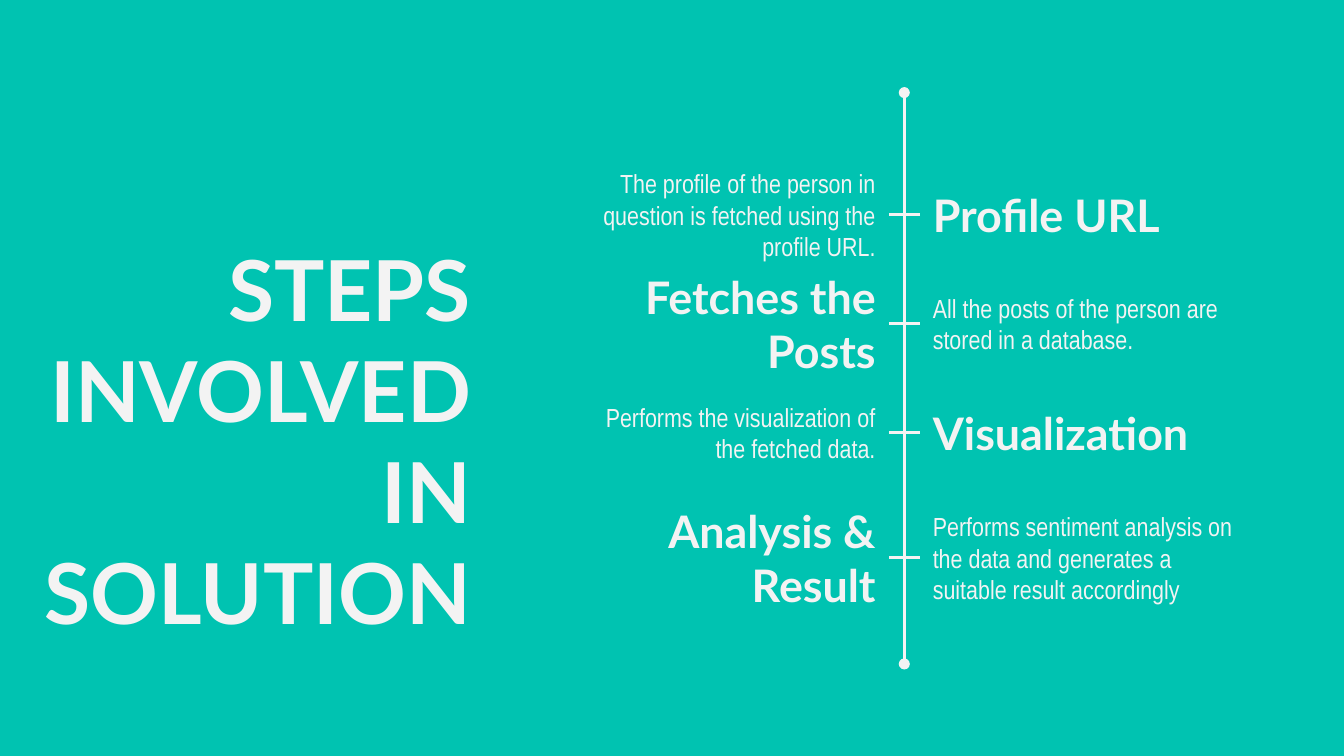
import pptx
import pptx.dml.color
import pptx.enum.shapes
import pptx.enum.text
import pptx.oxml.ns
import lxml.etree
from pptx.util import Cm

BACKGROUND = "00C3B1"
LIGHT = "F3F3F3"
AXIS_X = 17.09
TICK_HALF = 0.29
ROW_HEIGHT = 1.75
HEADING = ("Lato", 24, True)
BODY = ("Arial Narrow", 14, False)
LEFT = pptx.enum.text.PP_ALIGN.LEFT
RIGHT = pptx.enum.text.PP_ALIGN.RIGHT
TOP = pptx.enum.text.MSO_ANCHOR.TOP
MIDDLE = pptx.enum.text.MSO_ANCHOR.MIDDLE

STEPS = [
    (4.06, "The profile of the person in question is fetched using the profile URL.",
     BODY, 6.07, "Profile URL", HEADING, 6.99),
    (6.12, "Fetches the Posts", HEADING, 6.71,
     "All the posts of the person are stored in a database.", BODY, 5.92),
    (8.18, "Performs the visualization of the fetched data.", BODY, 5.74,
     "Visualization", HEADING, 5.74),
    (10.54, "Analysis & Result", HEADING, 6.71,
     "Performs sentiment analysis on the data and generates a suitable result accordingly",
     BODY, 6.4),
]


def color(value):
    return pptx.dml.color.RGBColor.from_string(value)


def add_text(s, text, style, x, y, w, h, align, anchor):
    font_name, size, bold = style
    tf = s.shapes.add_textbox(Cm(x), Cm(y), Cm(w), Cm(h)).text_frame
    tf.word_wrap = True
    tf.vertical_anchor = anchor
    tf.margin_left = tf.margin_right = tf.margin_top = tf.margin_bottom = Cm(0.25)
    tf.text = text
    p = tf.paragraphs[0]
    p.alignment = align
    font = p.runs[0].font
    font.name = font_name
    font.size = pptx.util.Pt(size)
    font.bold = bold
    font.color.rgb = color(LIGHT)


def add_line(s, x1, y1, x2, y2, oval_ends=False):
    line = s.shapes.add_connector(
        pptx.enum.shapes.MSO_CONNECTOR.STRAIGHT, Cm(x1), Cm(y1), Cm(x2), Cm(y2))
    line.line.color.rgb = color(LIGHT)
    line.line.width = pptx.util.Pt(1.5)
    qn = pptx.oxml.ns.qn
    sp_pr = line._element.spPr
    if oval_ends:
        for tag in ("a:headEnd", "a:tailEnd"):
            lxml.etree.SubElement(sp_pr.find(qn("a:ln")), qn(tag), type="oval")
    lxml.etree.SubElement(sp_pr, qn("a:effectLst"))


def add_step(s, y, left_text, left_style, left_width, right_text, right_style, right_width):
    top = y - ROW_HEIGHT / 2
    left_edge, right_edge = AXIS_X - TICK_HALF, AXIS_X + TICK_HALF
    add_text(s, left_text, left_style, left_edge - left_width, top,
             left_width, ROW_HEIGHT, RIGHT, MIDDLE)
    add_text(s, right_text, right_style, right_edge, top,
             right_width, ROW_HEIGHT, LEFT, MIDDLE)
    add_line(s, left_edge, y, right_edge, y)


def main():
    prs = pptx.Presentation()
    prs.slide_width, prs.slide_height = Cm(25.4), Cm(14.29)
    s = prs.slides.add_slide(prs.slide_layouts[6])
    s.background.fill.solid()
    s.background.fill.fore_color.rgb = color(BACKGROUND)
    add_text(s, "STEPS INVOLVED IN SOLUTION", ("Lato", 45, True),
             0.36, 4.24, 8.79, 4.8, RIGHT, TOP)
    add_line(s, AXIS_X, 1.75, AXIS_X, 12.55, oval_ends=True)
    for step in STEPS:
        add_step(s, *step)
    prs.save("out.pptx")


if __name__ == "__main__":
    main()
